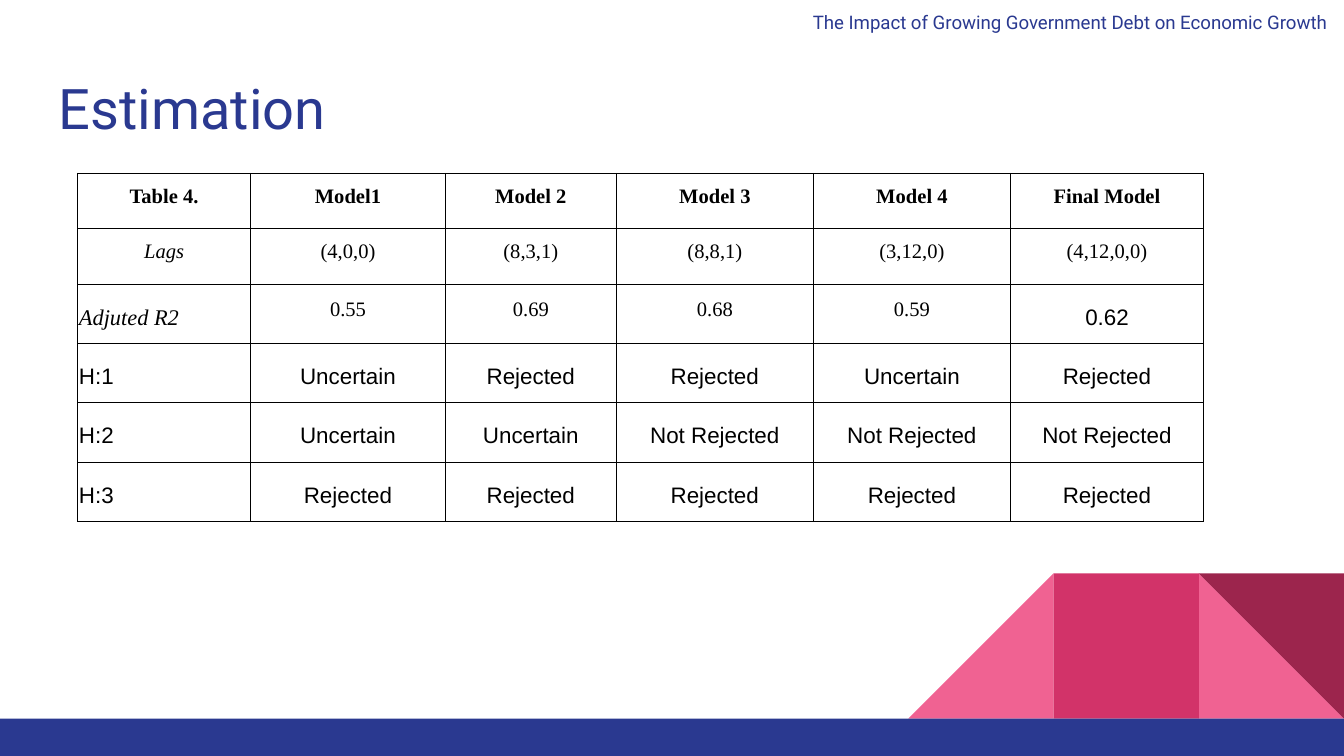
from lxml import etree
from pptx import Presentation
from pptx.dml.color import RGBColor
from pptx.enum.shapes import MSO_SHAPE
from pptx.enum.text import MSO_ANCHOR, PP_ALIGN
from pptx.oxml.ns import qn
from pptx.util import Pt

RECTANGLE, TRIANGLE = MSO_SHAPE.RECTANGLE, MSO_SHAPE.RIGHT_TRIANGLE
TOP, MIDDLE, BOTTOM = MSO_ANCHOR.TOP, MSO_ANCHOR.MIDDLE, MSO_ANCHOR.BOTTOM
LEFT, CENTER = PP_ALIGN.LEFT, PP_ALIGN.CENTER

NAVY = RGBColor(0x2A, 0x39, 0x90)
PINK = RGBColor(0xF0, 0x62, 0x92)
ROSE = RGBColor(0xD2, 0x33, 0x69)
WINE = RGBColor(0x9C, 0x25, 0x4D)
BLACK = RGBColor(0, 0, 0)

SLIDE_WIDTH, SLIDE_HEIGHT = 720, 405

HEADINGS = [
    ("Estimation", 30, (24.5, 32.4, 671, 47.5)),
    ("The Impact of Growing Government Debt on Economic Growth", 10, (428.4, 0, 413.3, 32.4)),
]

RESULTS = [
    ["Table 4.", "Model1", "Model 2", "Model 3", "Model 4", "Final Model"],
    ["Lags", "(4,0,0)", "(8,3,1)", "(8,8,1)", "(3,12,0)", "(4,12,0,0)"],
    ["Adjuted R2", "0.55", "0.69", "0.68", "0.59", "0.62"],
    ["H:1", "Uncertain", "Rejected", "Rejected", "Uncertain", "Rejected"],
    ["H:2", "Uncertain", "Uncertain", "Not Rejected", "Not Rejected", "Not Rejected"],
    ["H:3", "Rejected", "Rejected", "Rejected", "Rejected", "Rejected"],
]
TABLE_LEFT, TABLE_TOP = 41.6, 92.8
COLUMN_WIDTHS = [92.7, 104.3, 91.6, 105.6, 105.6, 103.4]
ROW_HEIGHTS = [29.6, 29.9, 31.75, 31.75, 31.75, 31.75]
BORDER_WIDTH = 0.5

SERIF = {"name": "Times New Roman", "size": Pt(11)}
SANS = {"name": "Arial", "size": Pt(12)}
HEADER = {**SERIF, "bold": True}
ITALIC = {**SERIF, "italic": True}
CELL_MARGINS = {
    "margin_left": Pt(0.72), "margin_right": Pt(0.72),
    "margin_top": Pt(0.72), "margin_bottom": Pt(7.2),
}

TILE = 77.8
BAR_TOP = 385
TILES = [
    (2, TRIANGLE, 0, PINK),
    (0, TRIANGLE, 270, PINK),
    (1, RECTANGLE, 0, ROSE),
    (2, TRIANGLE, 180, WINE),
]


def apply(target, values):
    for name, value in values.items():
        setattr(target, name, value)


def add_block(slide, kind, box, color, rotation=0):
    block = slide.shapes.add_shape(kind, *map(Pt, box))
    block.shadow.inherit = False
    block.fill.solid()
    block.fill.fore_color.rgb = color
    block.line.fill.background()
    block.rotation = rotation


def add_heading(slide, text, size, box):
    frame = slide.shapes.add_textbox(*map(Pt, box)).text_frame
    apply(frame, {"word_wrap": True, "vertical_anchor": TOP, "margin_left": Pt(7.2),
                  "margin_right": Pt(7.2), "margin_top": Pt(7.2), "margin_bottom": Pt(7.2)})
    run = frame.paragraphs[0].add_run()
    run.text = text
    apply(run.font, {"name": "Roboto", "size": Pt(size)})
    run.font.color.rgb = NAVY


def cell_format(row, column):
    if row == 0:
        return HEADER, MIDDLE, CENTER
    if row == 1:
        return (ITALIC if column == 0 else SERIF), MIDDLE, CENTER
    if column == 0:
        return ({**ITALIC, "size": Pt(12)} if row == 2 else SANS), BOTTOM, LEFT
    if row == 2 and column < 5:
        return SERIF, MIDDLE, CENTER
    return SANS, BOTTOM, CENTER


def add_borders(cell):
    properties = cell._tc.get_or_add_tcPr()
    for position, side in enumerate(("a:lnL", "a:lnR", "a:lnT", "a:lnB")):
        line = etree.Element(qn(side), w=str(Pt(BORDER_WIDTH)))
        fill = etree.SubElement(line, qn("a:solidFill"))
        etree.SubElement(fill, qn("a:srgbClr"), val=str(BLACK))
        properties.insert(position, line)


def fill_cell(cell, text, font, anchor, alignment):
    apply(cell, {**CELL_MARGINS, "vertical_anchor": anchor})
    cell.fill.background()
    add_borders(cell)
    paragraph = cell.text_frame.paragraphs[0]
    paragraph.alignment = alignment
    if alignment == CENTER:
        paragraph.line_spacing = 1.15
    run = paragraph.add_run()
    run.text = text
    apply(run.font, {"bold": False, "italic": False, **font})
    run.font.color.rgb = BLACK


def add_results(slide):
    box = (TABLE_LEFT, TABLE_TOP, sum(COLUMN_WIDTHS), sum(ROW_HEIGHTS))
    table = slide.shapes.add_table(len(RESULTS), len(RESULTS[0]), *map(Pt, box)).table
    apply(table, {"first_row": False, "horz_banding": False})
    for column, width in zip(table.columns, COLUMN_WIDTHS):
        column.width = Pt(width)
    for row, height in zip(table.rows, ROW_HEIGHTS):
        row.height = Pt(height)
    for r, texts in enumerate(RESULTS):
        for c, text in enumerate(texts):
            fill_cell(table.cell(r, c), text, *cell_format(r, c))


def main():
    deck = Presentation()
    apply(deck, {"slide_width": Pt(SLIDE_WIDTH), "slide_height": Pt(SLIDE_HEIGHT)})
    slide = deck.slides.add_slide(deck.slide_layouts[6])
    tiles_left = SLIDE_WIDTH - 3 * TILE
    for place, kind, rotation, color in TILES:
        box = (tiles_left + place * TILE, BAR_TOP - TILE, TILE, TILE)
        add_block(slide, kind, box, color, rotation)
    add_block(slide, RECTANGLE, (0, BAR_TOP, SLIDE_WIDTH, SLIDE_HEIGHT - BAR_TOP), NAVY)
    title, running_head = HEADINGS
    add_heading(slide, *title)
    add_results(slide)
    add_heading(slide, *running_head)
    deck.save("out.pptx")


if __name__ == "__main__":
    main()
